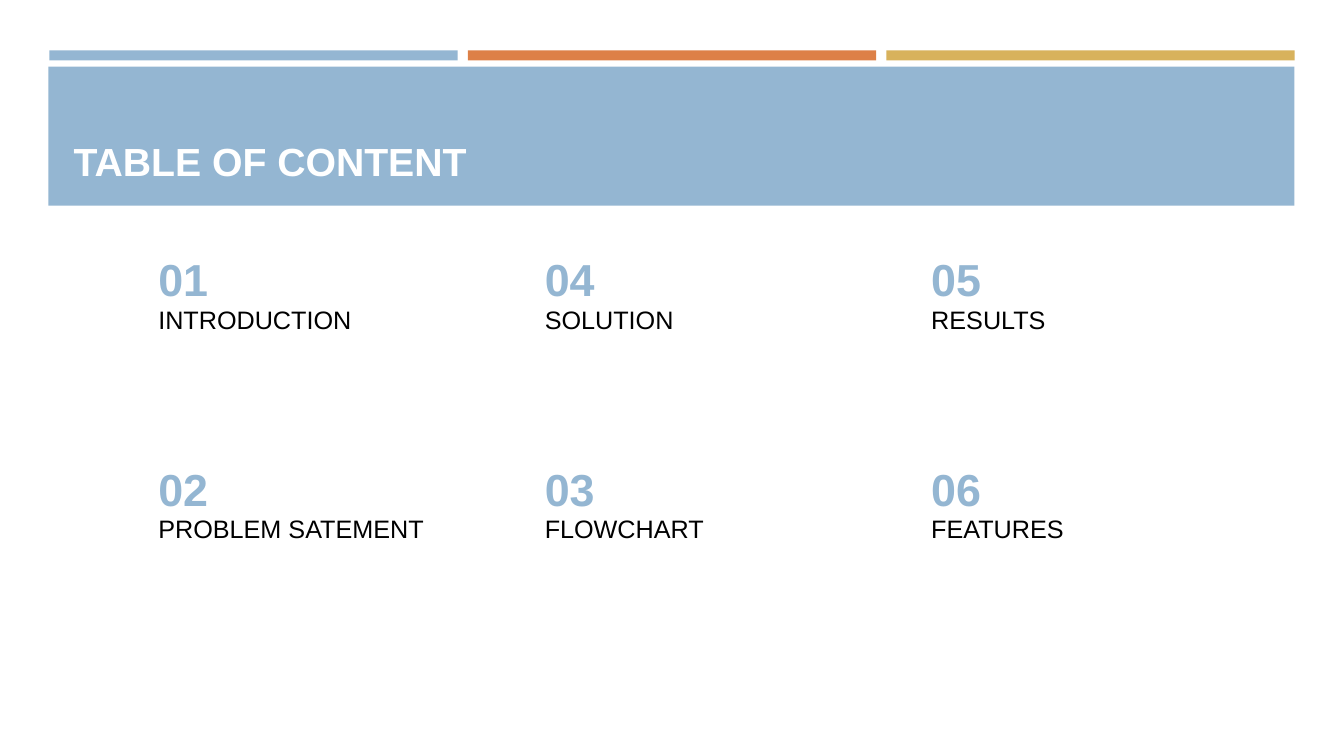
import pptx
import pptx.util
from pptx.dml.color import RGBColor
from pptx.enum.shapes import MSO_SHAPE
from pptx.enum.text import MSO_ANCHOR, MSO_AUTO_SIZE, PP_ALIGN
from pptx.util import Inches

COLORS = {
    "blue": "94B6D2",
    "orange": "DD8047",
    "gold": "D8B25C",
    "white": "FFFFFF",
    "black": "000000",
}
FONT = "Arial"
CONTENTS = [
    [("01", "INTRODUCTION"), ("04", "SOLUTION"), ("05", "RESULTS")],
    [("02", "PROBLEM SATEMENT"), ("03", "FLOWCHART"), ("06", "FEATURES")],
]


def rgb(name):
    return RGBColor.from_string(COLORS[name])


def add_run(p, text, size, color, bold=False):
    p.alignment = PP_ALIGN.LEFT
    r = p.add_run()
    r.text = text
    r.font.name = FONT
    r.font.size = pptx.util.Pt(size)
    r.font.bold = bold
    r.font.color.rgb = rgb(color)


def add_band(s, x, y, w, h, color):
    sp = s.shapes.add_shape(MSO_SHAPE.RECTANGLE, Inches(x), Inches(y), Inches(w), Inches(h))
    sp.shadow.inherit = False
    sp.fill.solid()
    sp.fill.fore_color.rgb = rgb(color)
    sp.line.fill.background()
    # Keep the bands behind the title
    s.shapes.title.element.addprevious(sp.element)


def set_title(s, text):
    sp = s.shapes.title
    sp.left, sp.top = Inches(0.63), Inches(0.8)
    sp.width, sp.height = Inches(12.06), Inches(1.08)
    tf = sp.text_frame
    tf.word_wrap = True
    tf.auto_size = MSO_AUTO_SIZE.NONE
    tf.vertical_anchor = MSO_ANCHOR.BOTTOM
    add_run(tf.paragraphs[0], text, 28, "white", bold=True)


def add_contents_table(s, rows):
    frame = s.shapes.add_table(len(rows), len(rows[0]), Inches(1.47), Inches(2.49),
                               Inches(11.5), Inches(4.33))
    table = frame.table
    table.first_row = False
    table.horz_banding = False
    for row, height in zip(table.rows, (2.08, 2.25)):
        row.height = Inches(height)
    for i, row in enumerate(rows):
        for j, (number, heading) in enumerate(row):
            cell = table.cell(i, j)
            cell.fill.background()
            tf = cell.text_frame
            add_run(tf.paragraphs[0], number, 32, "blue", bold=True)
            add_run(tf.add_paragraph(), heading, 18, "black")


def main():
    prs = pptx.Presentation()
    prs.slide_width, prs.slide_height = Inches(13.33), Inches(7.5)
    s = prs.slides.add_slide(prs.slide_layouts[5])

    # Header: three thin stripes above the title band
    for i, color in enumerate(("blue", "orange", "gold")):
        add_band(s, 0.49 + i * 4.15, 0.5, 4.05, 0.1, color)
    add_band(s, 0.48, 0.66, 12.36, 1.38, "blue")
    set_title(s, "TABLE OF CONTENT")

    # Numbered contents
    add_contents_table(s, CONTENTS)

    prs.save("out.pptx")


if __name__ == "__main__":
    main()
